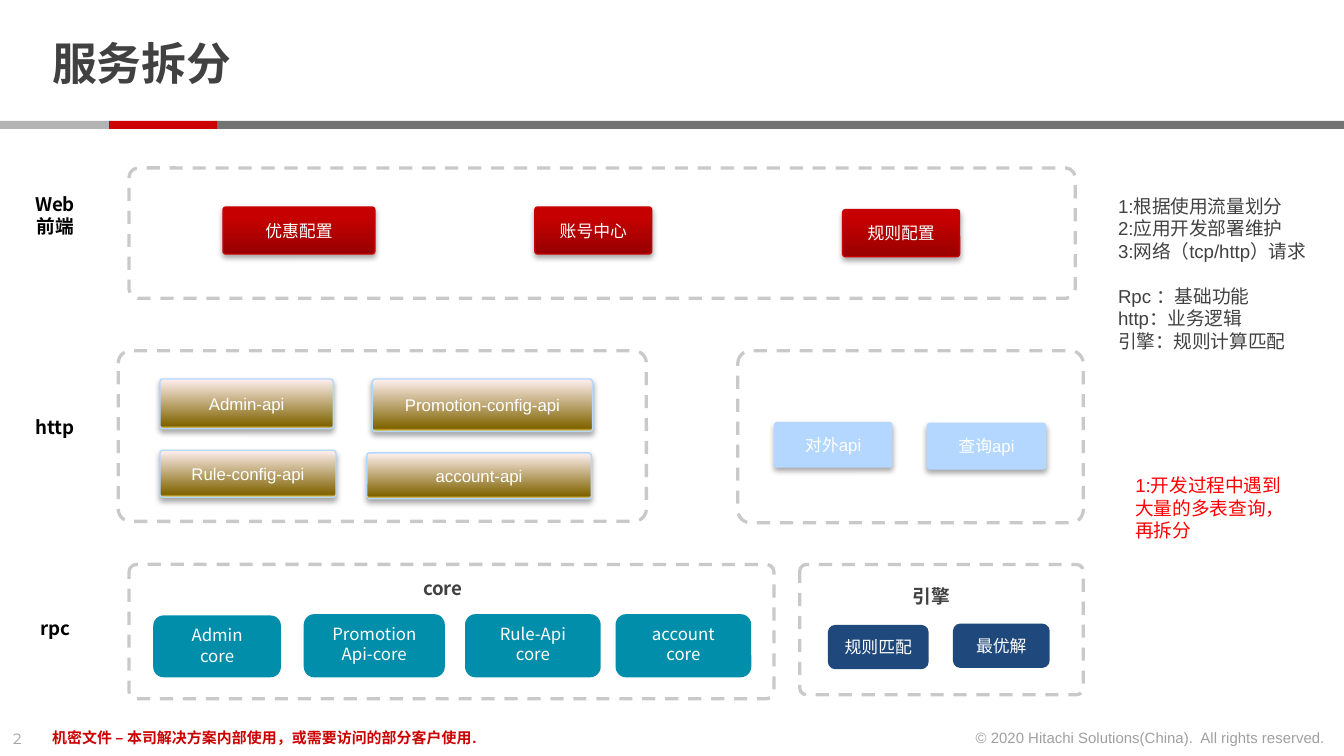
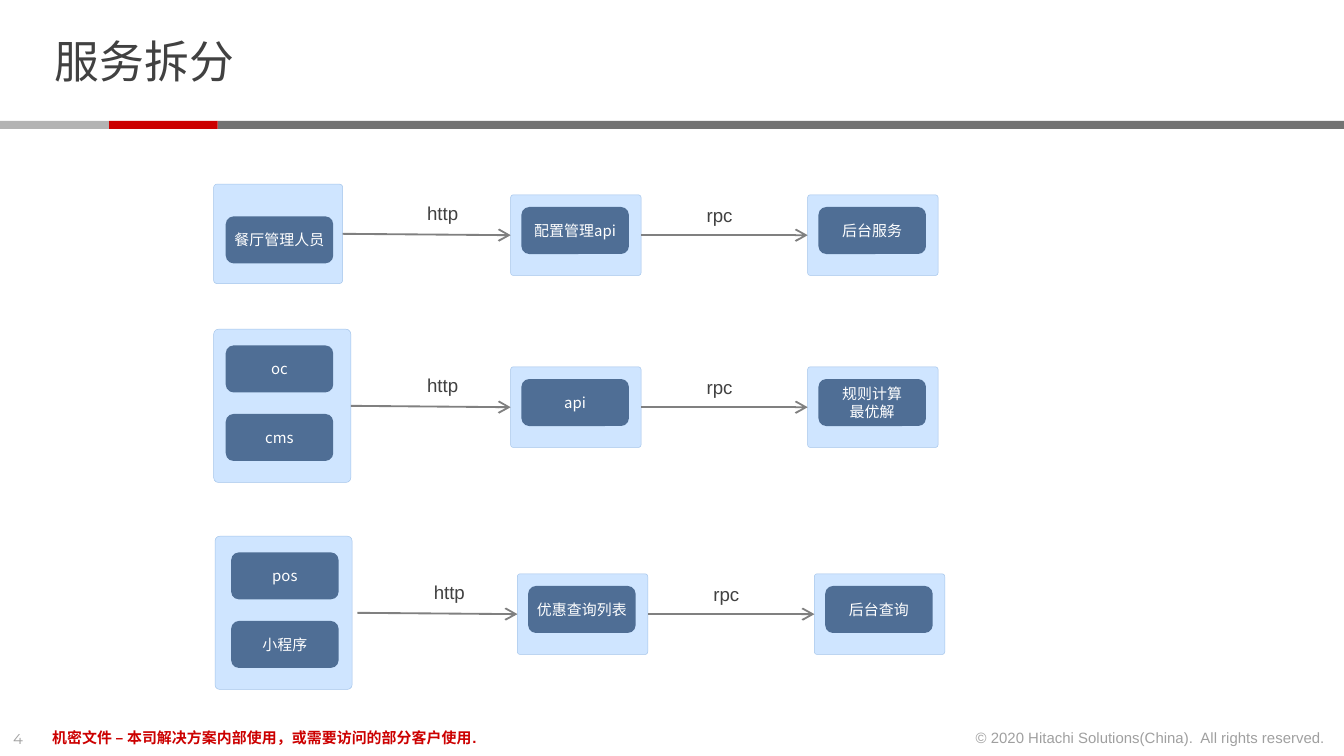
from lxml import etree
from pptx import Presentation
from pptx import util as u
from pptx.dml.color import RGBColor
from pptx.enum import dml, shapes, text
from pptx.oxml.ns import qn

PX = 9144  # 100 px to the inch
NOTO, ARIAL, MONT = "Noto Sans CJK SC", "Arial", "Montserrat"
INK, RED, WHITE, BLACK = "414141", "CC0000", "FFFFFF", "000000"
GREY, SKY, TEAL, NAVY, SLATE = "808080", "B3D7FF", "008EAA", "1F497D", "4F6E95"
RUBY = [(0, "980000"), (80, "C60000"), (100, "C70000")]
GOLD = [(0, "FFF0F0"), (94, "806300"), (100, "FFDD66"),
        (100, "FF7575"), (100, "FFA3A3")]
KINDS = shapes.MSO_SHAPE
ALIGN = text.PP_ALIGN
MID, TOP = text.MSO_ANCHOR.MIDDLE, text.MSO_ANCHOR.TOP


def px(n):
    return u.Emu(n * PX)


def tint(code):
    return RGBColor.from_string(code)


def sub(node, tag, **attrs):
    return etree.SubElement(node, qn(tag), {k: str(v) for k, v in attrs.items()})


def fade(node, part):
    """Make every colour under node show at part per cent."""
    for mark in list(node.iter(qn("a:srgbClr"))):
        sub(mark, "a:alpha", val=part * 1000)


def blend(shape, stops, angle):
    shape.fill.gradient()
    shape.fill.gradient_angle = angle
    ramp = shape.element.spPr.find(".//" + qn("a:gsLst"))
    for old in list(ramp):
        ramp.remove(old)
    for at, code in stops:
        sub(sub(ramp, "a:gs", pos=at * 1000), "a:srgbClr", val=code)


def lift(shape):
    """Give the shape a soft shadow below it."""
    glow = sub(shape.element.spPr.find(qn("a:effectLst")), "a:outerShdw",
               blurRad=u.Pt(3.1), dist=u.Pt(1.8), dir=5400000, rotWithShape=0)
    fade(sub(glow, "a:srgbClr", val=BLACK).getparent(), 35)


def write(shape, words, size=9, color=INK, font=ARIAL, bold=False,
          align=ALIGN.LEFT, anchor=TOP, inset=(10, 5), wrap=True,
          lead=None, gaps=()):
    """Fill in text, one paragraph a line; gaps lists lines set off above."""
    frame = shape.text_frame
    frame.word_wrap, frame.vertical_anchor = wrap, anchor
    frame.margin_left = frame.margin_right = px(inset[0])
    frame.margin_top = frame.margin_bottom = px(inset[1])
    for i, line in enumerate(words.split("\n")):
        para = frame.add_paragraph() if i else frame.paragraphs[0]
        para.alignment = align
        if lead:
            para.line_spacing = lead
        if i in gaps:
            para.space_before = u.Pt(12)
        run = para.add_run()
        run.text = line
        run.font.size, run.font.bold = u.Pt(size), bold
        run.font.name, run.font.color.rgb = font, tint(color)
        sub(run.font._element, "a:ea", typeface=NOTO)
    return shape


def label(slide, box, words, **form):
    return write(slide.shapes.add_textbox(*map(px, box)), words, **form)


def block(slide, box, fill=None, line=None, width=0.75, curve=None,
          kind=KINDS.ROUNDED_RECTANGLE):
    shape = slide.shapes.add_shape(kind, *map(px, box))
    if curve is not None:
        shape.adjustments[0] = curve
    if fill:
        shape.fill.solid()
        shape.fill.fore_color.rgb = tint(fill)
    else:
        shape.fill.background()
    if line:
        shape.line.color.rgb = tint(line)
        shape.line.width = u.Pt(width)
    else:
        shape.line.fill.background()
    shape.shadow.inherit = False
    return shape


def base(deck, number):
    """Add a slide with the band and footer that all slides share."""
    slide = deck.slides.add_slide(deck.slide_layouts[6])
    for x, w, code in ((162, 838, "737373"), (81, 81, RED), (0, 81, "B3B3B3")):
        block(slide, (x, 90, w, 6), code, kind=KINDS.RECTANGLE)
    page = label(slide, (0, 538, 34, 24), number, size=8, font=MONT, wrap=False)
    rights = label(slide, (712, 537, 284, 24),
                   "© 2020 Hitachi Solutions(China).\u00a0 All rights reserved.",
                   size=8, align=ALIGN.RIGHT, wrap=False)
    for note in (page, rights):
        fade(note.element, 50)
    label(slide, (29, 537, 674, 24),
          "机密文件 – 本司解决方案内部使用，或需要访问的部分客户使用.",
          size=8, color=RED, bold=True)
    return slide


def zone(slide, box, curve):
    frame = block(slide, box, line=GREY, width=1.75, curve=curve)
    frame.line.dash_style = dml.MSO_LINE.DASH
    fade(frame.element.spPr.find(qn("a:ln")), 42)


def chip(slide, box, words, fill, anchor=MID, **form):
    write(block(slide, box, fill), words, color=WHITE, font=NOTO,
          align=ALIGN.CENTER, anchor=anchor, **form)


def key(slide, box, words, fill=SKY, line=None, stops=None, angle=270):
    """Add a raised button, plain or with a gradient."""
    shape = block(slide, box, fill, line, curve=0.061)
    if stops:
        blend(shape, stops, angle)
    lift(shape)
    write(shape, words, color=WHITE, align=ALIGN.CENTER, anchor=MID)


def panel(slide, box):
    shape = block(slide, box, SKY, "A3C4EA", 0.25, 0.034)
    fade(shape.element.spPr.find(qn("a:solidFill")), 63)
    return shape


def arrow(slide, start, goal, tail=None):
    """Point at goal's left side, from start's right side or the spot tail."""
    x, y = map(px, tail or (0, 0))
    line = slide.shapes.add_connector(shapes.MSO_CONNECTOR.STRAIGHT, x, y, x, y)
    if not tail:
        line.begin_connect(start, 3)
    line.end_connect(goal, 1)
    line.line.color.rgb, line.line.width = tint(GREY), u.Pt(1)
    props = line.element.spPr
    sub(props.find(qn("a:ln")), "a:tailEnd", type="arrow")
    sub(props, "a:effectLst")


def layers(deck):
    slide = base(deck, "2")
    label(slide, (29, 13, 771, 73), "服务拆分", size=24, font=NOTO, bold=True,
          anchor=MID, inset=(10, 0), lead=0.85)
    for y, h, words in ((138, 44, "Web前端"), (304, 27, "http"), (454, 27, "rpc")):
        label(slide, (14, y, 54, h), words, size=10, color=BLACK, font=NOTO,
              bold=True, align=ALIGN.CENTER, anchor=MID)
    for *box, curve in ((96, 125, 704, 97, 0.073), (88, 261, 393, 127, 0.073),
                        (549, 261, 257, 128, 0.073), (96, 420, 480, 100, 0.057),
                        (595, 420, 211, 97, 0.052)):
        zone(slide, box, curve)

    for x, y, w, words in ((166, 154, 113, "优惠配置"), (398, 154, 87, "账号中心"),
                           (627, 156, 87, "规则配置")):
        key(slide, (x, y, w, 35), words, line="C80000", stops=RUBY, angle=90)
    for *box, words in ((119, 282, 129, 37, "Admin-api"),
                        (277, 282, 164, 39, "Promotion-config-api"),
                        (119, 335, 131, 35, "Rule-config-api"),
                        (273, 337, 167, 34, "account-api")):
        key(slide, box, words, line=SKY, stops=GOLD)
    key(slide, (576, 314, 88, 34), "对外api")
    key(slide, (690, 315, 88, 34), "查询api", line=SKY)

    for *box, words in ((277, 424, 105, 27, "core"), (644, 430, 98, 27, "引擎")):
        write(block(slide, box, WHITE, kind=KINDS.RECTANGLE), words, size=10,
              font=NOTO, bold=True, align=ALIGN.CENTER)
    for *box, words in ((114, 458, 95, 46, "Admin\ncore"),
                        (226, 457, 105, 47, "Promotion\nApi-core"),
                        (346, 457, 101, 47, "Rule-Api\ncore"),
                        (458, 457, 101, 47, "account\ncore")):
        chip(slide, box, words, TEAL, TOP)
    chip(slide, (616, 465, 75, 33), "规则匹配", NAVY)
    chip(slide, (709, 464, 72, 33), "最优解", NAVY)

    rules = ("1:根据使用流量划分\n2:应用开发部署维护\n3:网络（tcp/http）请求\n"
             "Rpc ：基础功能\nhttp：业务逻辑\n引擎：规则计算匹配")
    write(block(slide, (822, 140, 161, 128), WHITE, kind=KINDS.RECTANGLE),
          rules, size=10, gaps=(3,))
    write(block(slide, (835, 348, 136, 61), WHITE, kind=KINDS.RECTANGLE),
          "1:开发过程中遇到大量的多表查询，再拆分", size=10, color="FF0000")


def flow(slide, x, y, left, seat, users, api, back, tail=None):
    """Draw one row: users call api over http, api calls back over rpc."""
    def node(spot, words):
        chip(slide, (*spot, 80, 35), words, SLATE, size=8, inset=(4, 4))

    steps = [panel(slide, left)]
    for i, user in enumerate(users):
        node((seat[0], seat[1] + 51 * i), user)
    for dx, words in ((0, api), (221, back)):
        steps.append(panel(slide, (x + dx, y, 97, 60)))
        node((x + dx + 8, y + 9), words)
    arrow(slide, steps[0], steps[1], tail)
    arrow(slide, steps[1], steps[2])
    for dx, dy, w, words in ((-72, 0, 43, "http"), (136, 2, 40, "rpc")):
        write(block(slide, (x + dx, y + dy, w, 27), WHITE, kind=KINDS.RECTANGLE),
              words, size=10, wrap=False)


def calls(deck):
    slide = base(deck, "4")
    write(block(slide, (31, 20, 155, 50), WHITE, kind=KINDS.RECTANGLE),
          "服务拆分", size=24, wrap=False)
    flow(slide, 380, 145, (159, 137, 96, 74), (168, 161),
         ["餐厅管理人员"], "配置管理api", "后台服务")
    flow(slide, 380, 273, (159, 245, 102, 114), (168, 257),
         ["oc", "cms"], "api", "规则计算\n最优解")
    flow(slide, 385, 427, (160, 399, 102, 114), (172, 411),
         ["pos", "小程序"], "优惠查询列表", "后台查询", tail=(266, 456))


def main():
    deck = Presentation()
    deck.slide_width = px(1000)
    deck.slide_height = u.Emu(deck.slide_width * 9 // 16)
    layers(deck)
    calls(deck)
    deck.save("out.pptx")


if __name__ == "__main__":
    main()
